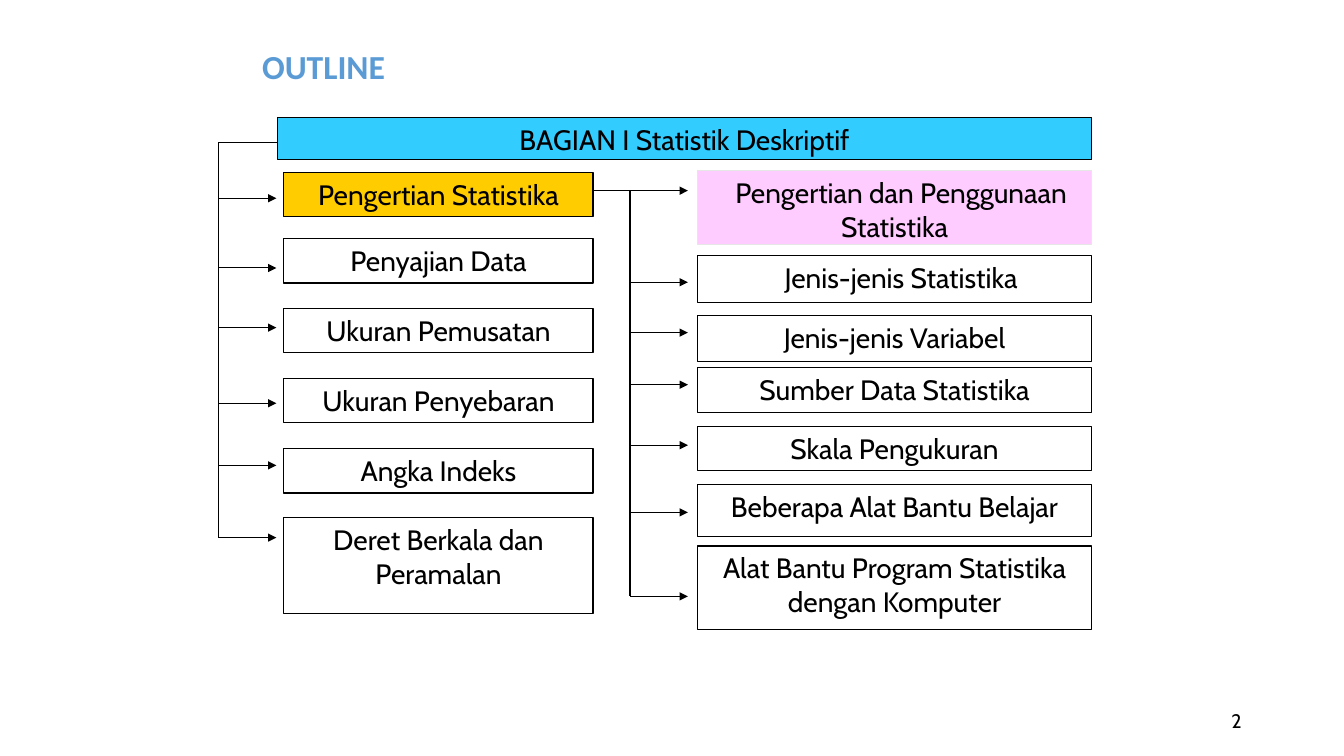
from lxml import etree
from pptx import Presentation
from pptx import util as u
from pptx.dml.color import RGBColor
from pptx.enum import shapes, text
from pptx.oxml.ns import qn

HUE = {"ink": "000000", "title": "5B9BD5", "part": "33CCFF", "topic": "FFCC00",
       "pink": "FFCCFF", "pale": "E7E6E6", "white": "FFFFFF"}
COLS, ROWS = 160, 90

deck = Presentation()
deck.slide_width, deck.slide_height = u.Inches(13.33), u.Inches(7.5)
slide = deck.slides.add_slide(deck.slide_layouts[5])


def col(n):
    return round(deck.slide_width * n / COLS)


def row(n):
    return round(deck.slide_height * n / ROWS)


def area(x, y, w, h):
    return col(x), row(y), col(w), row(h)


def tint(key):
    return RGBColor.from_string(HUE[key])


def style(para, size, hue="ink", face="Cabin", align=text.PP_ALIGN.CENTER):
    para.alignment = align
    para.font.size = u.Pt(size)
    para.font.name = face
    para.font.color.rgb = tint(hue)


def panel(box, words, fill="white", edge="ink", indent=0):
    rect = slide.shapes.add_shape(shapes.MSO_SHAPE.RECTANGLE, *area(*box))
    rect.shadow.inherit = False
    if fill:
        rect.fill.solid()
        rect.fill.fore_color.rgb = tint(fill)
    else:
        rect.fill.background()
    rect.line.color.rgb = tint(edge)
    rect.line.width = u.Pt(0.75)
    frame = rect.text_frame
    frame.word_wrap = True
    frame.vertical_anchor = text.MSO_ANCHOR.TOP
    frame.text = words
    for para in frame.paragraphs:
        if indent:
            para._p.get_or_add_pPr().set("indent", str(u.Inches(indent)))
        style(para, 20)


def line(x, y, right, low, head=False):
    link = slide.shapes.add_connector(
        shapes.MSO_CONNECTOR.STRAIGHT, col(x), row(y), col(right), row(low))
    link.line.color.rgb = tint("ink")
    link.line.width = u.Pt(0.75)
    if head:
        etree.SubElement(link.line._get_or_add_ln(), qn("a:tailEnd"), type="triangle")
    etree.SubElement(link._element.spPr, qn("a:effectLst"))


def tree(box, lead, inset, items):
    x, y, w = box
    drop, reach = lead
    for top, high, mid, words, look in items:
        panel((x + inset, y + top, w - inset, high), words, **look)
        line(x, y + mid, x + 6.9, y + mid, head=True)
    line(x, y + drop, x, y + items[-1][2])
    line(x, y + drop, x + reach, y + drop)


def title(box):
    head = slide.shapes.title
    head.left, head.top, head.width, head.height = area(*box)
    head.text_frame.text = "OUTLINE"
    head.text_frame.vertical_anchor = text.MSO_ANCHOR.MIDDLE
    para = head.text_frame.paragraphs[0]
    para.line_spacing = 0.9
    style(para, 24, "title", "Calibri", text.PP_ALIGN.LEFT)
    para.font.bold = True


def number(box):
    frame = slide.shapes.add_textbox(*area(*box)).text_frame
    frame.word_wrap = True
    frame.vertical_anchor = text.MSO_ANCHOR.MIDDLE
    frame.text = "2"
    style(frame.paragraphs[0], 14, align=text.PP_ALIGN.RIGHT)


CHAPS = [
    (3.5, 5.3, 6.6, "Pengertian Statistika", {"fill": "topic"}),
    (11.4, 5.3, 14.9, "Penyajian Data", {"fill": None}),
    (19.7, 5.3, 22, "Ukuran Pemusatan", {}),
    (28.1, 5.2, 31, "Ukuran Penyebaran", {}),
    (36.4, 5.3, 38.4, "Angka Indeks", {}),
    (44.6, 11.4, 47, "Deret Berkala dan\nPeramalan", {}),
]
TOPICS = [
    (0.3, 8.8, 2.7, "Pengertian dan Penggunaan Statistika",
     {"fill": "pink", "edge": "pale", "indent": 0.13}),
    (10.4, 5.6, 13.6, "Jenis-jenis Statistika", {"indent": 0.13}),
    (17.6, 5.5, 19.6, "Jenis-jenis Variabel", {}),
    (23.8, 5.3, 25.8, "Sumber Data Statistika", {}),
    (30.8, 5.2, 33, "Skala Pengukuran", {}),
    (37.7, 6.2, 41, "Beberapa Alat Bantu Belajar", {}),
    (45, 10, 51, "Alat Bantu Program Statistika dengan Komputer", {}),
]

title((30, 4.2, 102.2, 8))
panel((33, 14, 97, 5), "BAGIAN I Statistik Deskriptif", "part")
tree((26, 17, 44.6), (0, 7), 7.8, CHAPS)
tree((75, 20, 55), (2.7, -4.4), 8, TOPICS)
number((113, 83.4, 36, 4.8))
deck.save("out.pptx")
